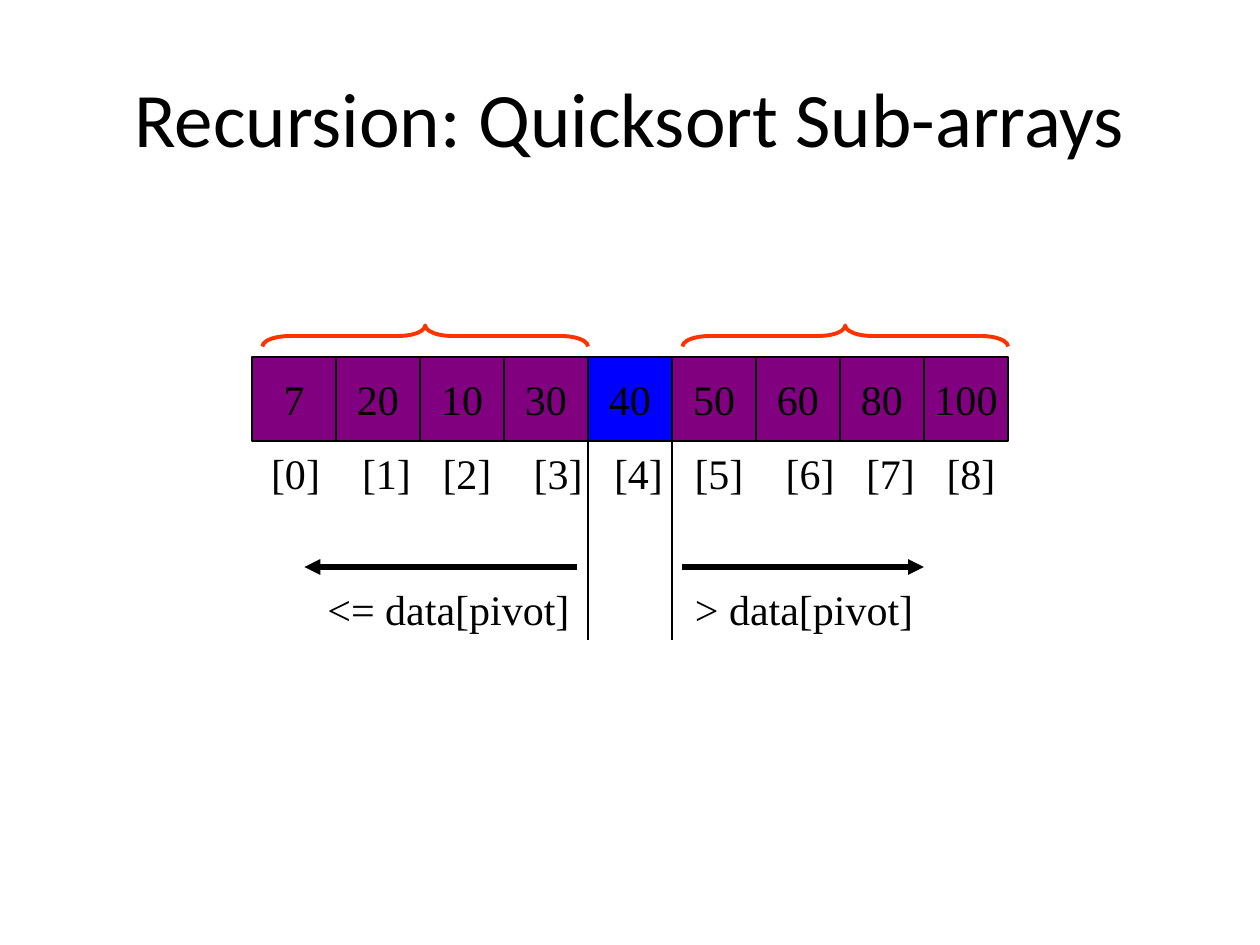
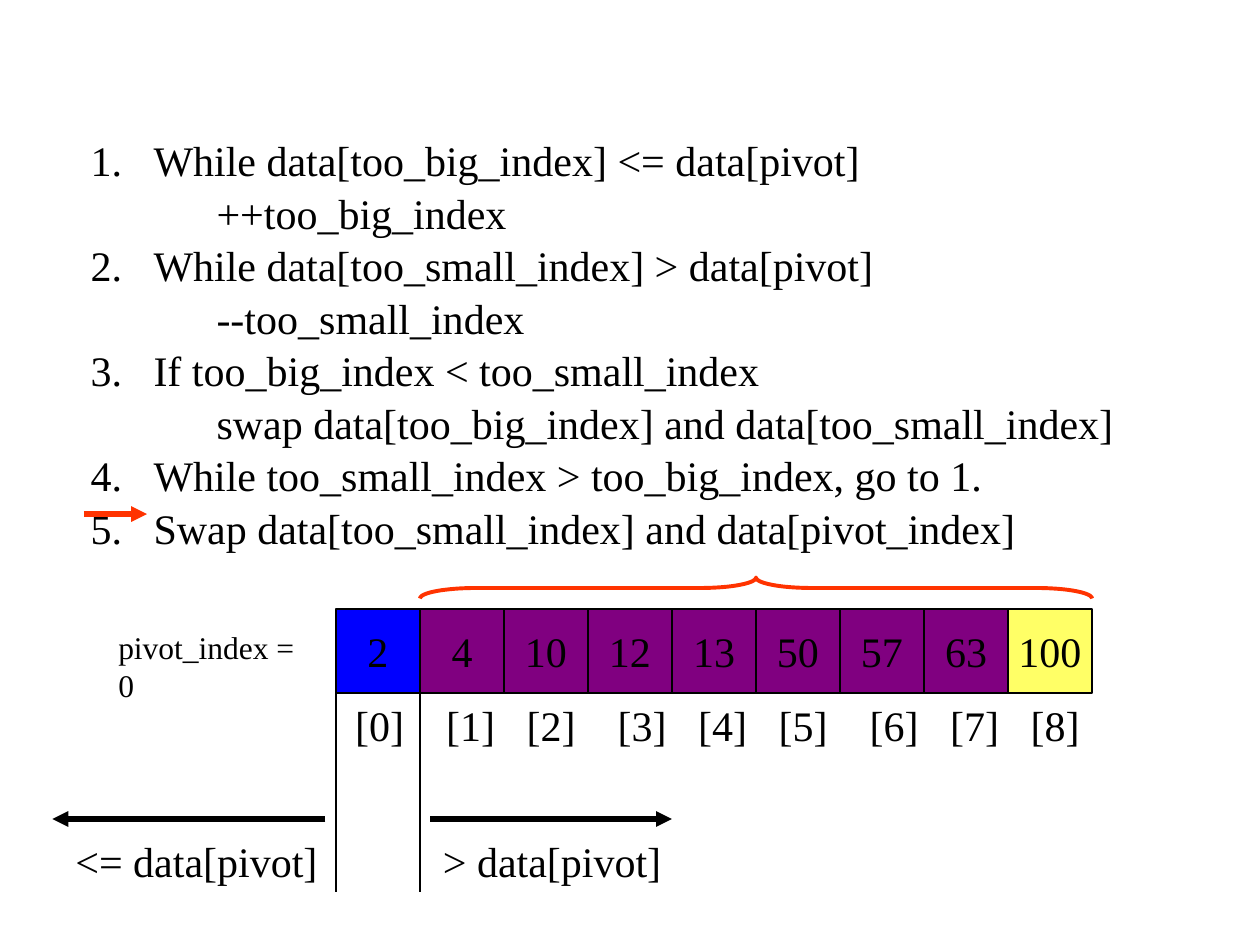
"""Two slides on the recursive step of quicksort."""
from itertools import accumulate

from lxml import etree
from pptx import Presentation
from pptx import util as u
from pptx.dml.color import RGBColor
from pptx.enum import shapes, text
from pptx.oxml.ns import qn

BLACK = RGBColor(0x00, 0x00, 0x00)
PURPLE = RGBColor(0x80, 0x00, 0x80)
BLUE = RGBColor(0x00, 0x00, 0xFF)
YELLOW = RGBColor(0xFF, 0xFF, 0x66)
ORANGE = RGBColor(0xFF, 0x33, 0x00)

WIDTH, HEIGHT = u.Inches(10), u.Inches(7.5)
CELL = WIDTH / 15
GAP = 1 / 8
HEADING_FONT, BODY_FONT = "Calibri", "Times New Roman"
INDEX_STEPS = [52, 46, 52, 46, 46, 52, 46, 46]

STEPS = [
    (0, "While data[too_big_index] <= data[pivot]"),
    (1, "++too_big_index"),
    (0, "While data[too_small_index] > data[pivot]"),
    (1, "--too_small_index"),
    (0, "If too_big_index < too_small_index"),
    (1, "swap data[too_big_index] and data[too_small_index]"),
    (0, "While too_small_index > too_big_index, go to 1."),
    (0, "Swap data[too_small_index] and data[pivot_index]"),
]


def cells(*counts):
    """Turn counts of grid cells into lengths."""
    return [u.Emu(round(count * CELL)) for count in counts]


def write(paragraph, words, size=24, font=BODY_FONT, color=BLACK,
          align=text.PP_ALIGN.LEFT):
    """Put one formatted run into a paragraph."""
    paragraph.alignment = align
    run = paragraph.add_run()
    run.text = words
    run.font.size = u.Pt(size)
    run.font.name = font
    run.font.color.rgb = color


def add_label(slide, words, box, size=24, wrap=False):
    """Add a text box on the grid and return its paragraph."""
    frame = slide.shapes.add_textbox(*cells(*box)).text_frame
    frame.word_wrap = wrap
    write(frame.paragraphs[0], words, size=size)
    return frame.paragraphs[0]


def add_rule(slide, start, end, color=BLACK, weight=0.75, arrow=False):
    """Draw a straight line or arrow between two grid points."""
    rule = slide.shapes.add_connector(
        shapes.MSO_CONNECTOR.STRAIGHT, *cells(*start, *end))
    rule.line.color.rgb = color
    rule.line.width = u.Pt(weight)
    if arrow:
        etree.SubElement(rule.line._get_or_add_ln(), qn("a:tailEnd"),
                         type="triangle")
    etree.SubElement(rule._element.spPr, qn("a:effectLst"))


def add_brace(slide, left, right, top):
    """Draw a brace that opens downwards over a span of cells."""
    depth, length = 1 / 4, right - left
    brace = slide.shapes.add_shape(
        shapes.MSO_SHAPE.LEFT_BRACE,
        *cells((left + right - depth) / 2, top + (depth - length) / 2,
               depth, length))
    brace.rotation = 90
    brace.adjustments[0] = length / 12 / depth
    brace.shadow.inherit = False
    brace.fill.background()
    brace.line.color.rgb = ORANGE
    brace.line.width = u.Pt(2.25)


def add_array(slide, left, top, values, fills):
    """Draw the array cells with their indices below."""
    for column, value in enumerate(values):
        item = slide.shapes.add_shape(
            shapes.MSO_SHAPE.RECTANGLE, *cells(left + column, top, 1, 1))
        item.shadow.inherit = False
        item.fill.solid()
        item.fill.fore_color.rgb = fills.get(column, PURPLE)
        item.line.color.rgb = BLACK
        item.line.width = u.Pt(0.75)
        item.text_frame.word_wrap = False
        item.text_frame.vertical_anchor = text.MSO_ANCHOR.MIDDLE
        write(item.text_frame.paragraphs[0], str(value),
              align=text.PP_ALIGN.CENTER)
    indices = add_label(
        slide, "\t".join(f"[{column}]" for column in range(len(values))),
        (left + 0.08, top + 1, len(values), 0.75), wrap=True)
    stops = etree.SubElement(indices._p.get_or_add_pPr(), qn("a:tabLst"))
    for stop in accumulate(INDEX_STEPS):
        etree.SubElement(stops, qn("a:tab"), pos=str(u.Pt(stop)), algn="l")


def add_partition(slide, pivot, top):
    """Mark both sides of the pivot column."""
    for edge in (pivot, pivot + 1):
        add_rule(slide, (edge, top), (edge, top + 3.375))
    before, after = pivot - GAP, pivot + 1 + GAP
    arrow_row, label_row = top + 2.5, top + 2.5 + GAP
    add_rule(slide, (before, arrow_row), (before - 3.25, arrow_row),
             weight=3, arrow=True)
    add_rule(slide, (after, arrow_row), (pivot + 4, arrow_row),
             weight=3, arrow=True)
    add_label(slide, "<= data[pivot]", (pivot - 3.25, label_row, 3.18, 0.75))
    add_label(slide, "> data[pivot]", (after, label_row, 2.9, 0.75))


def add_steps(slide, left, top):
    """List the numbered steps and point at the last one."""
    frame = slide.shapes.add_textbox(*cells(left, top, 14, 5)).text_frame
    frame.word_wrap = True
    for number, (level, words) in enumerate(STEPS):
        step = frame.add_paragraph() if number else frame.paragraphs[0]
        step.level = level
        if number:
            step.space_before = u.Pt(1.2)
        layout = step._p.get_or_add_pPr()
        layout.set("marL", str(u.Inches(0.5 + level / 2)))
        layout.set("indent", str(0 if level else u.Inches(-0.5)))
        if level:
            etree.SubElement(layout, qn("a:buNone"))
        else:
            etree.SubElement(layout, qn("a:buAutoNum"), type="arabicPeriod")
        write(step, words)
    pointer = top + 4.59
    add_rule(slide, (1, pointer), (1.75, pointer), color=ORANGE, weight=3,
             arrow=True)


def build_subarrays(deck):
    """Show the two sub-arrays left to sort."""
    slide = deck.slides.add_slide(deck.slide_layouts[5])
    heading = slide.shapes.title
    heading.left, heading.top, heading.width, heading.height = cells(
        0.75, 0.45, 13.5, 1.88)
    heading.text_frame.vertical_anchor = text.MSO_ANCHOR.MIDDLE
    write(heading.text_frame.paragraphs[0], "Recursion: Quicksort Sub-arrays",
          size=44, font=HEADING_FONT, align=text.PP_ALIGN.CENTER)
    left, top, pivot = 3, 4.25, 4
    add_array(slide, left, top, [7, 20, 10, 30, 40, 50, 60, 80, 100],
              {pivot: BLUE})
    add_partition(slide, left + pivot, top)
    add_brace(slide, left + GAP, left + pivot, top - 3 * GAP)
    add_brace(slide, left + pivot + 1 + GAP, left + 9, top - 3 * GAP)


def build_worst_case(deck):
    """Show the steps on an array whose pivot stays first."""
    slide = deck.slides.add_slide(deck.slide_layouts[6])
    add_steps(slide, 0.93, 1.53)
    left, top = 4, 7.25
    add_array(slide, left, top, [2, 4, 10, 12, 13, 50, 57, 63, 100],
              {0: BLUE, 8: YELLOW})
    add_label(slide, "pivot_index = 0", (left - 2.74, top + 0.15, 2.67, 0.6),
              size=18)
    add_brace(slide, left + 1, left + 9, top - 3 * GAP)
    add_partition(slide, left, top)


def main():
    """Build and save the deck."""
    deck = Presentation()
    deck.slide_width, deck.slide_height = WIDTH, HEIGHT
    build_subarrays(deck)
    build_worst_case(deck)
    deck.save("out.pptx")


if __name__ == "__main__":
    main()
